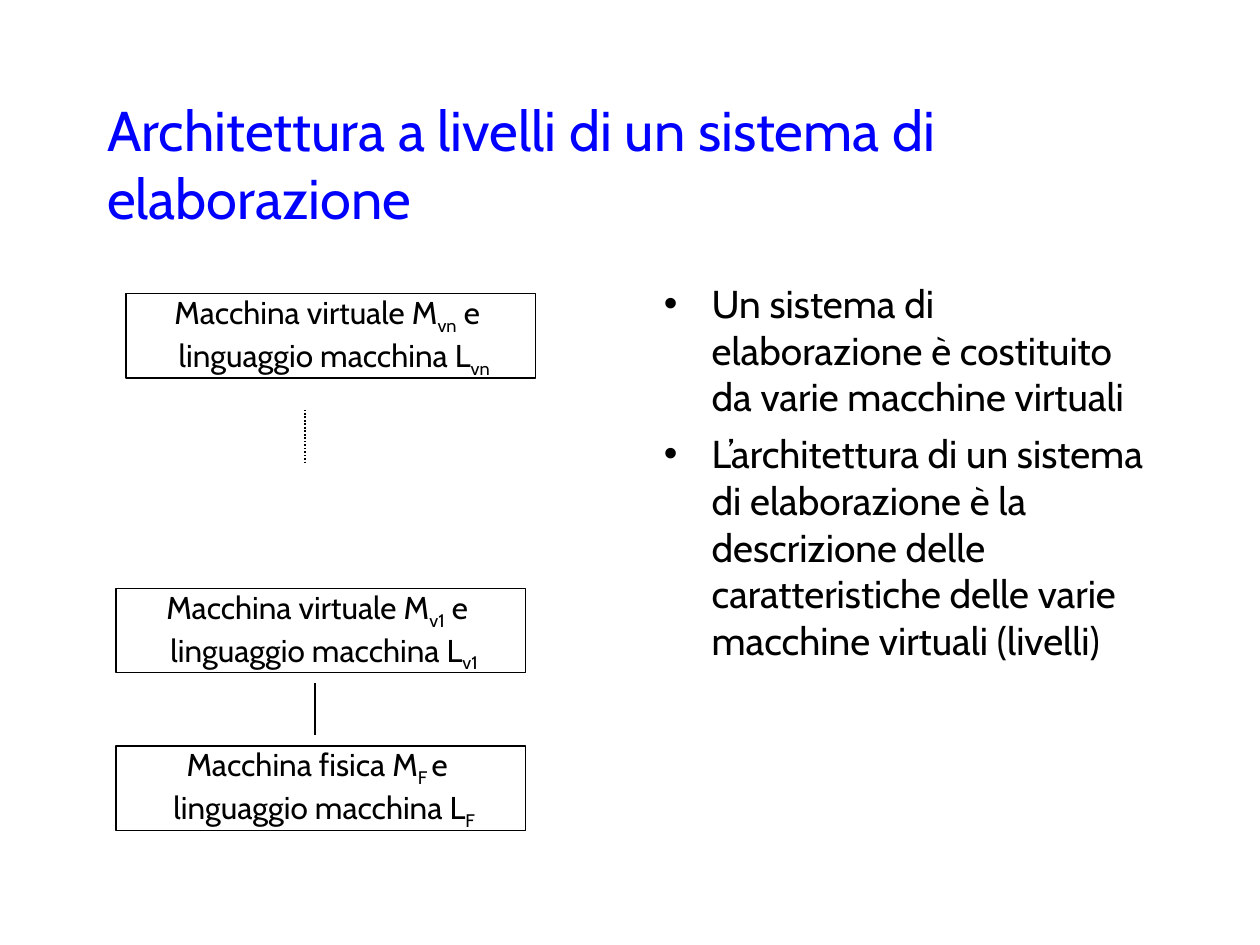
from lxml import etree
from pptx import Presentation
from pptx.dml.color import RGBColor
from pptx.enum import dml, shapes, text
from pptx.oxml import ns
from pptx.util import Inches, Pt

BLUE = RGBColor(0, 0, 255)
BLACK = RGBColor(0, 0, 0)
WHITE = RGBColor(255, 255, 255)
FONT = "Cabin"

MACHINES = [
    (0.92, 5.92, "Macchina fisica M", "F ", "e "),
    (0.92, 4.67, "Macchina virtuale M", "v1", " e "),
    (1, 2.33, "Macchina virtuale M", "vn", " e "),
]
POINTS = [
    "Un sistema di elaborazione è costituito da varie macchine virtuali",
    "L’architettura di un sistema di elaborazione è la descrizione delle "
    "caratteristiche delle varie macchine virtuali (livelli)",
]


def set_font(font, size, color):
    """Apply the slide typeface with a size and colour."""
    font.name = FONT
    font.size = Pt(size)
    font.color.rgb = color


def add_title(s, left, top, width, height):
    """Place and format the title placeholder."""
    sp = s.shapes.title
    sp.left, sp.top, sp.width, sp.height = map(Inches, (left, top, width, height))
    tf = sp.text_frame
    tf.text = "Architettura a livelli di un sistema di elaborazione"
    tf.vertical_anchor = text.MSO_ANCHOR.MIDDLE
    p = tf.paragraphs[0]
    p.alignment = text.PP_ALIGN.LEFT
    set_font(p.runs[0].font, 32, BLUE)


def add_points(s, left, top, width, height):
    """Write the bulleted explanation."""
    tf = s.shapes.add_textbox(*map(Inches, (left, top, width, height))).text_frame
    tf.word_wrap = True
    for i, point in enumerate(POINTS):
        p = tf.add_paragraph() if i else tf.paragraphs[0]
        p.text = point
        pPr = p._p.get_or_add_pPr()
        pPr.set("marL", str(Inches(0.38)))
        pPr.set("indent", str(Inches(-0.38)))
        if i:
            p.space_before = Pt(6)
        etree.SubElement(pPr, ns.qn("a:buFont"), typeface="Arial")
        etree.SubElement(pPr, ns.qn("a:buChar"), char="•")
        set_font(p.runs[0].font, 22.2, BLACK)


def add_machine(s, left, top, width, height, name, sub, tail):
    """Draw a machine box naming the machine and its language."""
    sp = s.shapes.add_shape(shapes.MSO_SHAPE.RECTANGLE,
                            *map(Inches, (left, top, width, height)))
    sp.shadow.inherit = False
    sp.fill.solid()
    sp.fill.fore_color.rgb = WHITE
    sp.line.color.rgb = BLACK
    sp.line.width = Pt(0.75)
    tf = sp.text_frame
    tf.word_wrap = False
    tf.vertical_anchor = text.MSO_ANCHOR.MIDDLE
    lines = [(name, sub, tail), (" linguaggio macchina L", sub.strip())]
    for i, parts in enumerate(lines):
        p = tf.add_paragraph() if i else tf.paragraphs[0]
        p.alignment = text.PP_ALIGN.CENTER
        for j, part in enumerate(parts):
            r = p.add_run()
            r.text = part
            set_font(r.font, 18, BLACK)
            if j == 1:
                r.font._element.set("baseline", "-25000")


def add_link(s, x, top, bottom, width, dash=None):
    """Draw a vertical link between levels."""
    line = s.shapes.add_connector(shapes.MSO_CONNECTOR.STRAIGHT,
                                  *map(Inches, (x, top, x, bottom)))
    line.line.color.rgb = BLACK
    line.line.width = Pt(width)
    if dash:
        line.line.dash_style = dash
    etree.SubElement(line._element.spPr, ns.qn("a:effectLst"))


def add_levels(s, width, height):
    """Stack the machine boxes and their links."""
    for left, top, *parts in MACHINES:
        add_machine(s, left, top, width, height, *parts)
    add_link(s, 2.5, 5.42, 5.83, 0.75)
    add_link(s, 2.42, 3.25, 3.67, 1, dml.MSO_LINE.ROUND_DOT)


def main():
    """Build and save the slide."""
    prs = Presentation()
    prs.slide_width, prs.slide_height = Inches(10), Inches(7.5)
    s = prs.slides.add_slide(prs.slide_layouts[5])
    add_title(s, 0.75, 0.67, 8.5, 1.25)
    add_points(s, 5.17, 2.17, 4.08, 4.5)
    add_levels(s, 3.25, 0.67)
    prs.save("out.pptx")


if __name__ == "__main__":
    main()
